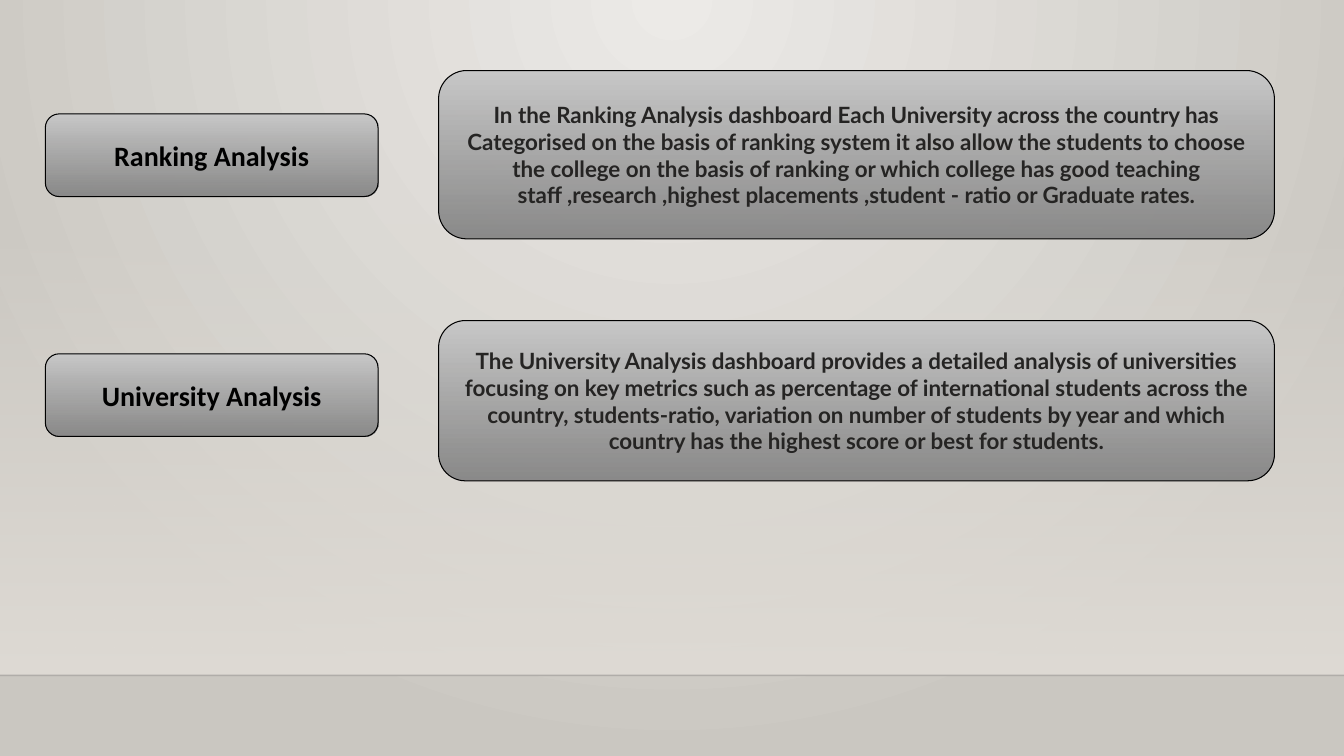
from lxml import etree
from pptx import Presentation
from pptx.dml.color import RGBColor
from pptx.enum import shapes, text
from pptx.oxml import ns
from pptx.util import Inches, Pt

COLORS = {
    "glow": "ECEAE7", "edge": "CAC7C1", "wall": "DFDBD5", "rule": "000001",
    "light": "C8C8C8", "dark": "848484", "black": "000000", "ink": "252423",
}
LABEL = {"name": "Calibri", "size": Pt(20), "bold": True}
BODY = {"name": "Lato", "size": Pt(16), "bold": True}

# label, label top, body, body top, body height
ROWS = [
    ("Ranking Analysis", 1.13,
     "In the Ranking Analysis dashboard Each University across the country has "
     "Categorised on the basis of ranking system it also allow the students to "
     "choose the college on the basis of ranking or which college has good "
     "teaching staff ,research ,highest placements ,student - ratio or "
     "Graduate rates.", 0.7, 1.67),
    ("University Analysis", 3.51,
     "The University Analysis dashboard provides a detailed analysis of "
     "universities focusing on key metrics such as percentage of international "
     "students across the country, students-ratio, variation on number of "
     "students by year and which country has the highest score or best for "
     "students.", 3.18, 1.59),
]


def rgb(name):
    return RGBColor.from_string(COLORS[name])


def add_sub(parent, tag, **attrs):
    return etree.SubElement(parent, ns.qn(tag), attrs)


def set_alpha(root, percent):
    """Make the last plain colour under root partly transparent."""
    color = list(root.iter(ns.qn("a:srgbClr")))[-1]
    add_sub(color, "a:alpha", val=str(percent * 1000))


def fade(fill, first, last):
    """Fill from top to bottom with two colours."""
    fill.gradient()
    fill.gradient_angle = 270
    for stop, name in zip(fill.gradient_stops, (first, last)):
        stop.color.rgb = rgb(name)


def paint_back(slide):
    fade(slide.background.fill, "glow", "edge")
    grad = next(slide.element.iter(ns.qn("a:gradFill")))
    grad.remove(grad.find(ns.qn("a:lin")))
    ring = add_sub(grad, "a:path", path="circle")
    add_sub(ring, "a:fillToRect", l="43000", t="0", r="43000", b="100000")


def add_wall(slide, width):
    wall = slide.shapes.add_shape(shapes.MSO_SHAPE.RECTANGLE, 0, Inches(2.21),
                                  width, Inches(4.49))
    wall.shadow.inherit = False
    wall.line.fill.background()
    fade(wall.fill, "wall", "wall")
    set_alpha(next(wall.element.iter(ns.qn("a:gs"))), 0)


def add_rule(slide, width):
    rule = slide.shapes.add_connector(shapes.MSO_CONNECTOR.STRAIGHT, 0,
                                      Inches(6.7), width, Inches(6.7))
    rule.line.width = Pt(1)
    rule.line.color.rgb = rgb("rule")
    props = rule.element.spPr
    set_alpha(props, 20)
    add_sub(props, "a:effectLst")


def add_card(slide, words, box, style, color):
    card = slide.shapes.add_shape(shapes.MSO_SHAPE.ROUNDED_RECTANGLE,
                                  *map(Inches, box))
    card.shadow.inherit = False
    fade(card.fill, "light", "dark")
    set_alpha(next(card.element.iter(ns.qn("a:gsLst"))), 92)
    card.line.color.rgb = rgb("black")
    card.line.width = Pt(0.75)
    frame = card.text_frame
    frame.word_wrap = True
    frame.vertical_anchor = text.MSO_ANCHOR.MIDDLE
    para = frame.paragraphs[0]
    para.alignment = text.PP_ALIGN.CENTER
    run = para.add_run()
    run.text = words
    for key, value in style.items():
        setattr(run.font, key, value)
    run.font.color.rgb = rgb(color)


def main():
    deck = Presentation()
    deck.slide_width, deck.slide_height = Inches(13.33), Inches(7.5)
    slide = deck.slides.add_slide(deck.slide_layouts[6])
    paint_back(slide)
    add_wall(slide, deck.slide_width)
    add_rule(slide, deck.slide_width)
    for label, label_top, body, top, height in ROWS:
        add_card(slide, label, (0.45, label_top, 3.3, 0.82), LABEL, "black")
        add_card(slide, body, (4.35, top, 8.29, height), BODY, "ink")
    deck.save("out.pptx")


if __name__ == "__main__":
    main()
